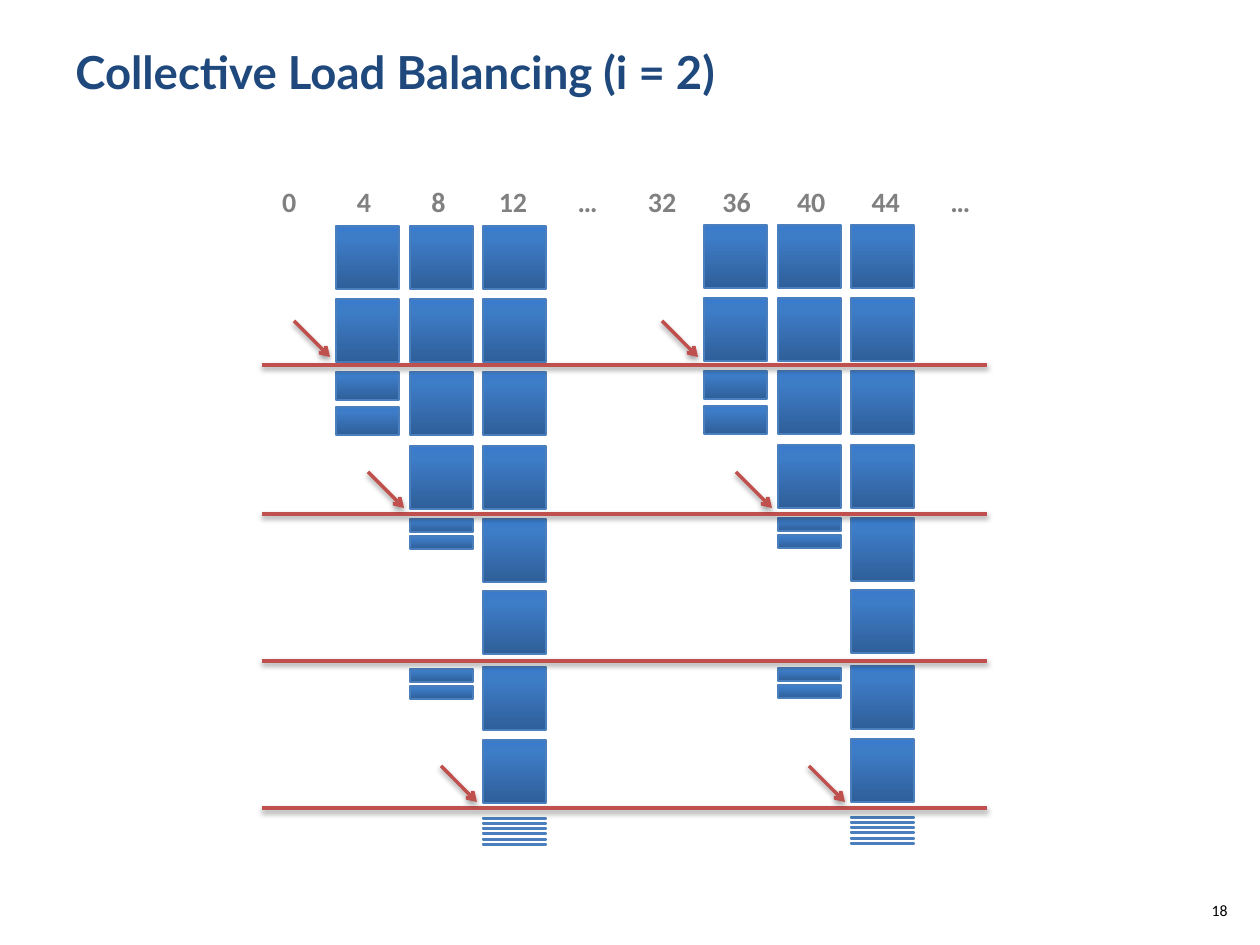
from dataclasses import dataclass
from pptx import Presentation
from pptx.dml.color import RGBColor
from pptx.enum.shapes import MSO_CONNECTOR, MSO_SHAPE
from pptx.enum.text import MSO_ANCHOR, PP_ALIGN
from pptx.oxml import parse_xml
from pptx.oxml.ns import nsdecls, qn
from pptx.util import Pt

TITLE = "Collective Load Balancing (i = 2)"
PAGE_NUMBER = "18"
RANKS = ["0", "4", "8", "12", "…", "32", "36", "40", "44", "…"]

FULL, HALF, QUARTER, SLIVER = 63, 28, 13, 1
COLUMN_BLOCKS = [
    {FULL: [226, 299], HALF: [372, 407]},
    {FULL: [226, 299, 372, 446], QUARTER: [519, 536, 669, 686]},
    {FULL: [226, 299, 372, 446, 519, 591, 667, 740],
     SLIVER: [818, 823, 828, 833, 839, 844]},
]
COLUMN_LEFTS = [336, 410, 483]
GROUP_SHIFTS = [(0, 0), (368, -1)]
BALANCE_LINES = [365, 514, 661, 808]
BALANCE_LEFT, BALANCE_RIGHT = 262, 987
ARROW_TOPS = [321, 472, 766]
ARROW_SPAN, ARROW_GAP = 36, 6
BLOCK_WIDTH = 63


@dataclass(frozen=True)
class Theme:
    title: str = "1F497D"
    rank: str = "808080"
    page: str = "000000"
    outline: str = "4B7EBC"
    balance: str = "C0504D"
    border: str = "FFFFFF"
    gradient: tuple = ((0, "2F5F99"), (80, "3D7CC7"), (100, "3A7CCB"))
    heading_font: str = "Lato"
    body_font: str = "Calibri"
    title_size: int = 26
    rank_size: int = 16
    page_size: int = 9
    outline_width: float = 0.75
    balance_width: int = 2


THEME = Theme()


def px(value):
    return round(value * 914400 / 126)


def write(frame, text, font, size, color, bold=False, align=PP_ALIGN.LEFT):
    frame.word_wrap = True
    paragraph = frame.paragraphs[0]
    paragraph.text = text
    paragraph.alignment = align
    text_font = paragraph.runs[0].font
    for name, value in {"name": font, "size": Pt(size), "bold": bold}.items():
        setattr(text_font, name, value)
    text_font.color.rgb = RGBColor.from_string(color)


def add_label(slide, box, *style, **options):
    label = slide.shapes.add_textbox(*map(px, box))
    write(label.text_frame, *style, **options)


def add_ranks(slide):
    frame = slide.shapes.add_table(1, len(RANKS), *map(px, (252, 158, 746, 68)))
    ranks = frame.table
    ranks.first_row = ranks.horz_banding = False
    for cell, rank in zip(ranks.rows[0].cells, RANKS):
        write(cell.text_frame, rank, THEME.body_font, THEME.rank_size,
              THEME.rank, bold=True, align=PP_ALIGN.CENTER)
        cell.vertical_anchor = MSO_ANCHOR.BOTTOM
        cell.fill.background()
        cell._tc.get_or_add_tcPr().insert(0, parse_xml(
            f'<a:lnB {nsdecls("a")} w="12700"><a:solidFill>'
            f'<a:srgbClr val="{THEME.border}"/></a:solidFill></a:lnB>'))


def add_block(slide, left, top, height):
    block = slide.shapes.add_shape(
        MSO_SHAPE.RECTANGLE, *map(px, (left, top, BLOCK_WIDTH, height)))
    block.shadow.inherit = False
    block.line.color.rgb = RGBColor.from_string(THEME.outline)
    block.line.width = Pt(THEME.outline_width)
    block.fill.gradient()
    stops = "".join(
        f'<a:gs pos="{place * 1000}"><a:srgbClr val="{color}"/></a:gs>'
        for place, color in THEME.gradient)
    properties = block._element.spPr
    properties.replace(properties.find(qn("a:gradFill")), parse_xml(
        f'<a:gradFill {nsdecls("a")} rotWithShape="1"><a:gsLst>{stops}</a:gsLst>'
        '<a:lin ang="16200000" scaled="0"/></a:gradFill>'))


def add_stroke(slide, start, end, arrow=False):
    stroke = slide.shapes.add_connector(
        MSO_CONNECTOR.STRAIGHT, *map(px, (*start, *end)))
    stroke.line.color.rgb = RGBColor.from_string(THEME.balance)
    stroke.line.width = Pt(THEME.balance_width)
    if arrow:
        stroke.line._get_or_add_ln().append(
            parse_xml(f'<a:tailEnd {nsdecls("a")} type="arrow"/>'))
    stroke._element.spPr.append(parse_xml(
        f'<a:effectLst {nsdecls("a")}><a:outerShdw blurRad="40000" dist="20000" '
        'dir="5400000" rotWithShape="0"><a:srgbClr val="000000">'
        '<a:alpha val="38000"/></a:srgbClr></a:outerShdw></a:effectLst>'))


def main():
    deck = Presentation()
    deck.slide_width, deck.slide_height = px(1260), px(945)
    slide = deck.slides.add_slide(deck.slide_layouts[6])

    add_label(slide, (63, 38, 1134, 130), TITLE, THEME.heading_font,
              THEME.title_size, THEME.title, bold=True)
    add_label(slide, (1187, 895, 53, 50), PAGE_NUMBER, THEME.body_font,
              THEME.page_size, THEME.page, align=PP_ALIGN.RIGHT)
    add_ranks(slide)

    for shift_x, shift_y in GROUP_SHIFTS:
        for left, blocks in zip(COLUMN_LEFTS, COLUMN_BLOCKS):
            for height, tops in blocks.items():
                for top in tops:
                    add_block(slide, left + shift_x, top + shift_y, height)

    for y in BALANCE_LINES:
        add_stroke(slide, (BALANCE_LEFT, y), (BALANCE_RIGHT, y))

    for shift_x, _ in GROUP_SHIFTS:
        for left, top in zip(COLUMN_LEFTS, ARROW_TOPS):
            tip = left + shift_x - ARROW_GAP
            add_stroke(slide, (tip - ARROW_SPAN, top),
                       (tip, top + ARROW_SPAN), arrow=True)

    deck.save("out.pptx")


if __name__ == "__main__":
    main()
